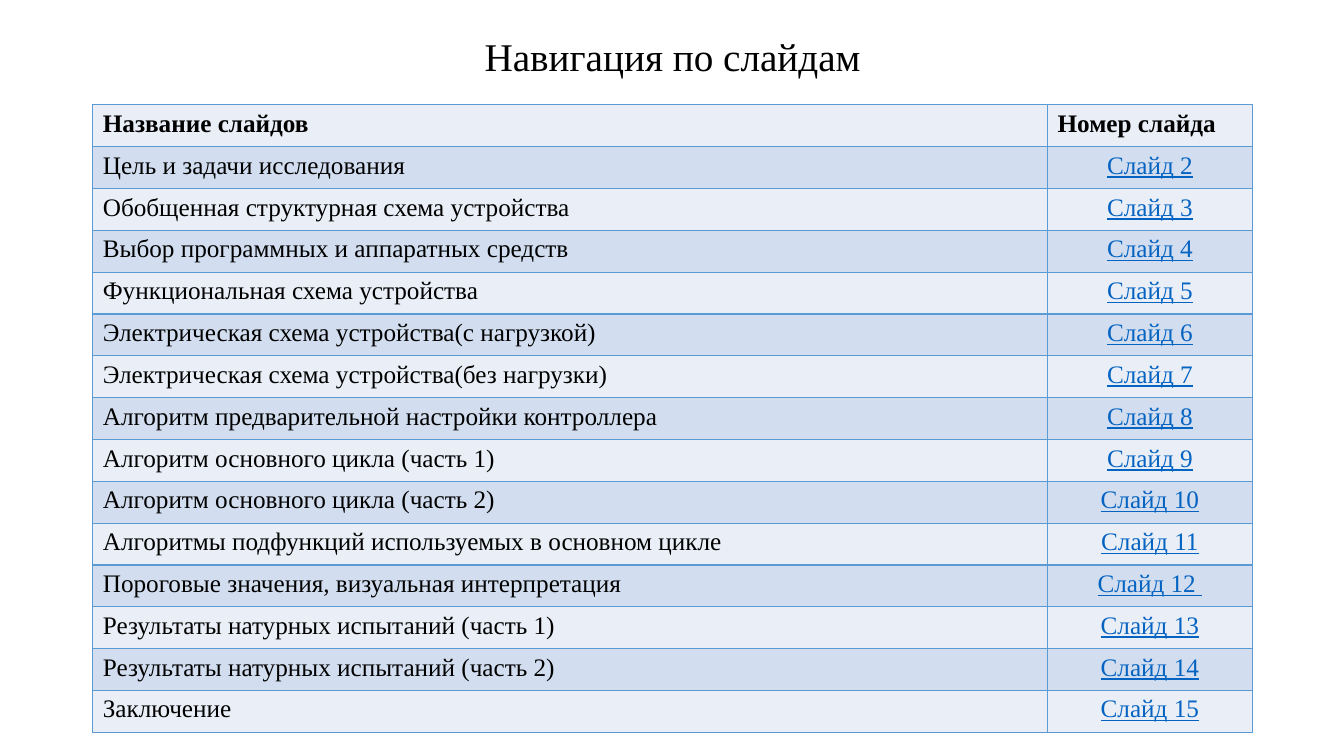
from dataclasses import dataclass

from lxml.etree import SubElement
from pptx import Presentation
from pptx.dml.color import RGBColor
from pptx.enum.text import MSO_ANCHOR as Anchor, PP_ALIGN as Align
from pptx.oxml.ns import qn
from pptx.util import Inches, Pt


@dataclass(frozen=True)
class Theme:
    font: str = "Times New Roman"
    title_size: int = 28
    table_size: int = 18
    text: str = "000000"
    link: str = "0563C1"
    border: str = "5B9BD5"
    bands: tuple = ("EAEFF7", "D2DEEF")


theme = Theme()


def write(frame, text, size=theme.table_size, color=theme.text, bold=False,
          underline=False, align=Align.LEFT, spacing=None):
    para = frame.paragraphs[0]
    para.alignment = align
    para.line_spacing = spacing
    span = para.add_run()
    span.text = text
    span.font.name = theme.font
    span.font.size = Pt(size)
    span.font.bold = bold
    span.font.underline = underline
    span.font.color.rgb = RGBColor.from_string(color)


def style_cell(cell, fill):
    properties = cell._tc.get_or_add_tcPr()
    for side in ("a:lnL", "a:lnR", "a:lnT", "a:lnB"):
        line = SubElement(properties, qn(side), w=str(Pt(1)))
        solid = SubElement(line, qn("a:solidFill"))
        SubElement(solid, qn("a:srgbClr"), val=theme.border)
    cell.fill.solid()
    cell.fill.fore_color.rgb = RGBColor.from_string(fill)


deck = Presentation()
deck.slide_width, deck.slide_height = Inches(13.33), Inches(7.5)
page = deck.slides.add_slide(deck.slide_layouts[6])

# Title
box = page.shapes.add_textbox(Inches(0.92), Inches(0), Inches(11.5), Inches(1.17))
box.text_frame.word_wrap = True
box.text_frame.vertical_anchor = Anchor.MIDDLE
write(box.text_frame, "Навигация по слайдам", size=theme.title_size,
      align=Align.CENTER, spacing=0.9)

# Contents: each topic with its slide label
topics = [
    "Цель и задачи исследования",
    "Обобщенная структурная схема устройства",
    "Выбор программных и аппаратных средств",
    "Функциональная схема устройства",
    "Электрическая схема устройства(с нагрузкой)",
    "Электрическая схема устройства(без нагрузки)",
    "Алгоритм предварительной настройки контроллера",
    "Алгоритм основного цикла (часть 1)",
    "Алгоритм основного цикла (часть 2)",
    "Алгоритмы подфункций используемых в основном цикле",
    "Пороговые значения, визуальная интерпретация",
    "Результаты натурных испытаний (часть 1)",
    "Результаты натурных испытаний (часть 2)",
    "Заключение",
]
rows = [("Название слайдов", "Номер слайда")]
for number, topic in enumerate(topics, start=2):
    label = f"Слайд {number}"
    rows.append((topic, label + " " if number == 12 else label))

# Navigation table
table = page.shapes.add_table(len(rows), 2, Inches(0.92), Inches(1.04),
                              Inches(11.5), Inches(6.23)).table
table.columns[0].width, table.columns[1].width = Inches(9.47), Inches(2.03)
for index, (topic, label) in enumerate(rows):
    header = index == 0
    topic_cell, label_cell = table.cell(index, 0), table.cell(index, 1)
    for cell in (topic_cell, label_cell):
        style_cell(cell, theme.bands[index % 2])
    write(topic_cell.text_frame, topic, bold=header)
    if header:
        write(label_cell.text_frame, label, bold=True)
    else:
        write(label_cell.text_frame, label, color=theme.link, underline=True,
              align=Align.CENTER)

deck.save("out.pptx")
